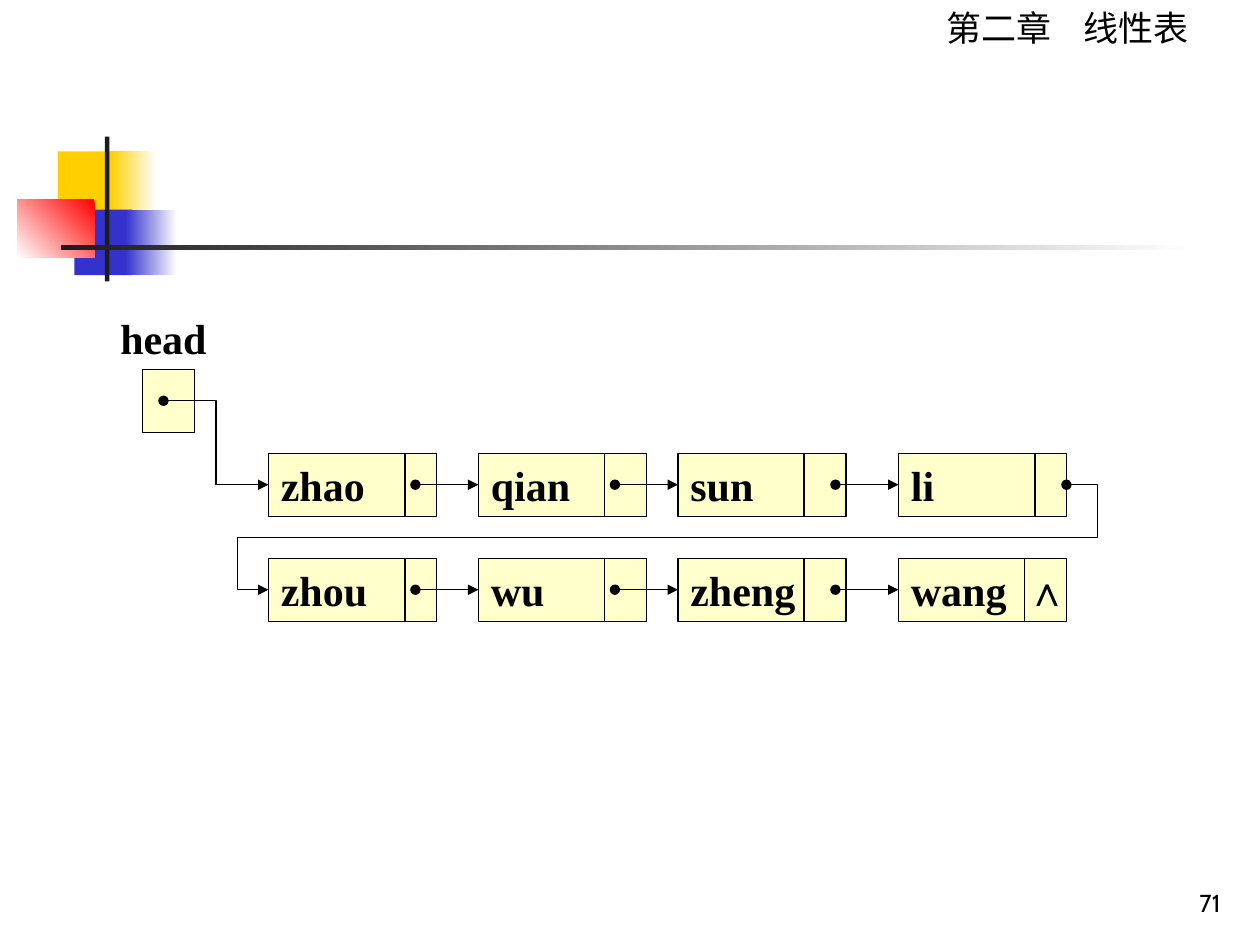
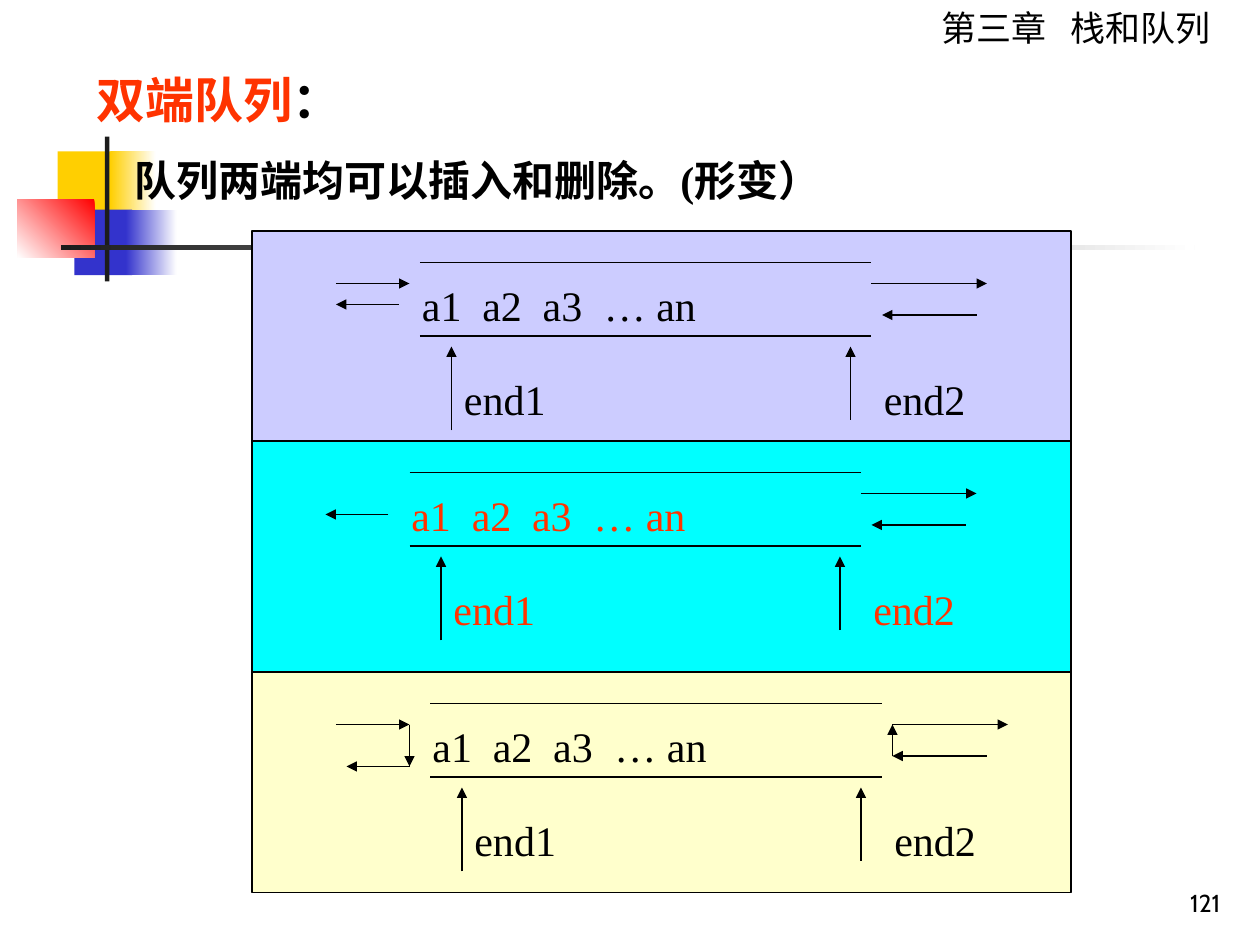
"""Builds two data-structure slides: a linked list and double-ended queues."""
from pptx import Presentation, util as u
from pptx.dml import color as dml_color
from pptx.enum import shapes, text
from pptx.oxml import ns, xmlchemy

BLACK, RED, CREAM = "000000", "FF3300", "FFFFCC"
LATIN, CHINESE, NUMBER = "Times New Roman", "Noto Sans CJK SC", "Cabin"


def rgb(value):
    """Turn a hex string into a colour."""
    return dml_color.RGBColor.from_string(value)


def add_element(parent, tag, **attributes):
    """Append a drawing element with the given attributes."""
    element = xmlchemy.OxmlElement(tag)
    for name, value in attributes.items():
        element.set(name, str(value))
    parent.append(element)
    return element


def write(paragraph, runs, size=24, font=LATIN, bold=False, tabs=(), east_asian=None):
    """Fill a paragraph with (words, colour) runs and tab stops in points."""
    if tabs:
        tab_list = add_element(paragraph._p.get_or_add_pPr(), "a:tabLst")
        for position in tabs:
            add_element(tab_list, "a:tab", pos=int(u.Pt(position)), algn="l")
    for words, colour in runs:
        run = paragraph.add_run()
        run.text = words
        run.font.size = u.Pt(size)
        run.font.name = font
        run.font.bold = bold
        run.font.color.rgb = rgb(colour)
        if east_asian:
            add_element(run._r.get_or_add_rPr(), "a:ea", typeface=east_asian)


def add_label(slide, box, words, colour=BLACK, align=text.PP_ALIGN.LEFT,
              anchor=text.MSO_ANCHOR.TOP, **style):
    """Add a one-line text box."""
    frame = slide.shapes.add_textbox(*map(u.Pt, box)).text_frame
    frame.word_wrap = True
    frame.vertical_anchor = anchor
    frame.paragraphs[0].alignment = align
    write(frame.paragraphs[0], [(words, colour)], **style)


def add_box(slide, box, colour, outline=True, fade_angle=None):
    """Add a rectangle, solid or fading to white."""
    shape = slide.shapes.add_shape(shapes.MSO_SHAPE.RECTANGLE, *map(u.Pt, box))
    shape.shadow.inherit = False
    if fade_angle is None:
        shape.fill.solid()
        shape.fill.fore_color.rgb = rgb(colour)
    else:
        shape.fill.gradient()
        shape.fill.gradient_angle = fade_angle
        for stop, shade in zip(shape.fill.gradient_stops, (colour, "FFFFFF")):
            stop.color.rgb = rgb(shade)
    if outline:
        shape.line.color.rgb = rgb(BLACK)
        shape.line.width = u.Pt(0.75)
    else:
        shape.line.fill.background()
    return shape


def add_line(slide, origin, points, head=None, tail=None,
             kind=shapes.MSO_CONNECTOR.STRAIGHT):
    """Add a connector through (x1, y1, x2, y2) measured from an origin."""
    left, top = origin
    x1, y1, x2, y2 = points
    ends = (left + x1, top + y1, left + x2, top + y2)
    line = slide.shapes.add_connector(kind, *map(u.Pt, ends))
    line.line.color.rgb = rgb(BLACK)
    line.line.width = u.Pt(0.75)
    outline = line.line._get_or_add_ln()
    if head:
        add_element(outline, "a:headEnd", type=head)
    if tail:
        add_element(outline, "a:tailEnd", type=tail)
    add_element(line._element.spPr, "a:effectLst")
    return line


def add_frame(slide, chapter, chapter_left, tab, number):
    """Add the corner ornament, chapter heading and page number."""
    ornament = [
        ((33, 86.5, 35, 37.5), "FFCF01", None),
        ((63, 86.5, 26, 37.5), "FFCF01", 0),
        ((42.5, 119.75, 33, 37.5), "3333CC", None),
        ((72, 119.75, 29, 37.5), "3333CC", 0),
        ((10, 113.75, 44, 33.5), "FF0000", 225),
        ((60, 78, 2.5, 82.75), "1C1C1C", None),
        ((34.75, 140, 648, 2.75), "1C1C1C", 0),
    ]
    for box, colour, fade_angle in ornament:
        add_box(slide, box, colour, outline=False, fade_angle=fade_angle)
    add_label(slide, (chapter_left, 0, 720 - chapter_left, 32), chapter,
              size=20, font=CHINESE, tabs=[tab], east_asian=CHINESE)
    add_label(slide, (554.5, 492, 150, 36), number, size=14, font=NUMBER,
              align=text.PP_ALIGN.RIGHT, anchor=text.MSO_ANCHOR.BOTTOM)


def add_node(slide, left, top, words, divider):
    """Add a list node with its data and pointer fields."""
    shape = add_box(slide, (left, top, 96, 36), CREAM)
    frame = shape.text_frame
    frame.word_wrap = True
    frame.margin_right = 0
    frame.vertical_anchor = text.MSO_ANCHOR.MIDDLE
    frame.paragraphs[0].alignment = text.PP_ALIGN.LEFT
    write(frame.paragraphs[0], [(words, BLACK)], bold=True)
    add_line(slide, (left, top), (divider, 0, divider, 36))


def add_linked_list(slide, left, top):
    """Draw the head pointer and two rows of linked nodes."""
    origin = left, top
    link = dict(head="oval", tail="triangle")
    elbow = shapes.MSO_CONNECTOR.ELBOW
    node_lefts = (108, 228, 342, 468)
    rows = [
        (84, ("zhao", "qian", "sun", "li"), (78, 72, 72, 78)),
        (144, ("zhou", "wu", "zheng", "wang"), (78, 72, 72, 72)),
    ]
    for row_top, names, dividers in rows:
        for node_left, name, divider in zip(node_lefts, names, dividers):
            add_node(slide, left + node_left, top + row_top, name, divider)
        middle = row_top + 18
        for start, end in zip((192, 306, 432), node_lefts[1:]):
            add_line(slide, origin, (start, middle, end, middle), **link)
    add_label(slide, (left + 534, top + 144, 45, 36), "∧", bold=True,
              anchor=text.MSO_ANCHOR.MIDDLE)
    wrap = add_line(slide, origin, (564, 102, 108, 162), kind=elbow, **link)
    geometry = wrap._element.spPr.find(ns.qn("a:prstGeom"))
    geometry.set("prst", "bentConnector5")
    guides = geometry.find(ns.qn("a:avLst"))
    for index, value in enumerate((-3900, 50000, 103900), 1):
        add_element(guides, "a:gd", name=f"adj{index}", fmla=f"val {value}")
    add_box(slide, (left + 36, top + 36, 30, 36), CREAM)
    add_line(slide, origin, (48, 54, 108, 102), kind=elbow, **link)
    add_label(slide, (left, top, 96, 36), "head", bold=True,
              align=text.PP_ALIGN.CENTER)


def add_deque(slide, left, top, colour, arrows):
    """Draw one queue track with its end pointers and flow arrows."""
    origin = left, top
    for y in (0, 42):
        add_line(slide, origin, (0, y, 258, y))
    add_label(slide, (left - 6, top + 6, 264, 36), "a1\ta2\ta3\t… an", colour,
              tabs=[34.5, 69, 104])
    for x, label_x, base, width, name in ((18, 18, 96, 90, "end1"),
                                          (246, 258, 90, 72, "end2")):
        add_line(slide, origin, (x, base, x, 48), tail="triangle")
        add_label(slide, (left + label_x, top + 60, width, 36), name, colour)
    for points in [(318, 30, 264, 30), *arrows]:
        add_line(slide, origin, points, tail="triangle")


def add_definition(slide, box):
    """Add the term and its explanation."""
    frame = slide.shapes.add_textbox(*map(u.Pt, box)).text_frame
    frame.word_wrap = True
    write(frame.paragraphs[0], [("双端队列", RED), ("：", BLACK)], size=28,
          bold=True, east_asian=CHINESE)
    paragraph = frame.add_paragraph()
    paragraph.space_before = u.Pt(15)
    paragraph._p.get_or_add_pPr().set("marL", str(int(u.Pt(21.75))))
    write(paragraph, [("队列两端均可以插入和删除。(形变）", BLACK)], bold=True,
          east_asian=CHINESE)


def build_list_slide(slide):
    """Build the linked list slide."""
    add_frame(slide, "第二章\t线性表", 534, 78, "71")
    add_linked_list(slide, 45.4, 175)


def build_deque_slide(slide):
    """Build the double-ended queue slide."""
    add_frame(slide, "第三章\t栈和队列", 531, 73.5, "121")
    for top, fill in ((378, CREAM), (132, "CCCCFF"), (252, "00FFFF")):
        add_box(slide, (144, top, 468, 132), fill)
    add_definition(slide, (48, 36, 462, 85))
    left_out, right_out = (-12, 24, -48, 24), (258, 12, 324, 12)
    add_deque(slide, 240, 150, BLACK, [left_out, right_out, (-48, 12, -6, 12)])
    add_deque(slide, 234, 270, RED, [left_out, right_out])
    add_deque(slide, 246, 402, BLACK, [
        (-12, 36, -48, 36), (264, 12, 330, 12), (-54, 12, -12, 12),
        (-12, 12, -12, 36), (264, 30, 264, 12)])


def main():
    """Create and save the presentation."""
    presentation = Presentation()
    presentation.slide_width = u.Pt(720)
    presentation.slide_height = u.Pt(540)
    for build in (build_list_slide, build_deque_slide):
        build(presentation.slides.add_slide(presentation.slide_layouts[6]))
    presentation.save("out.pptx")


if __name__ == "__main__":
    main()
